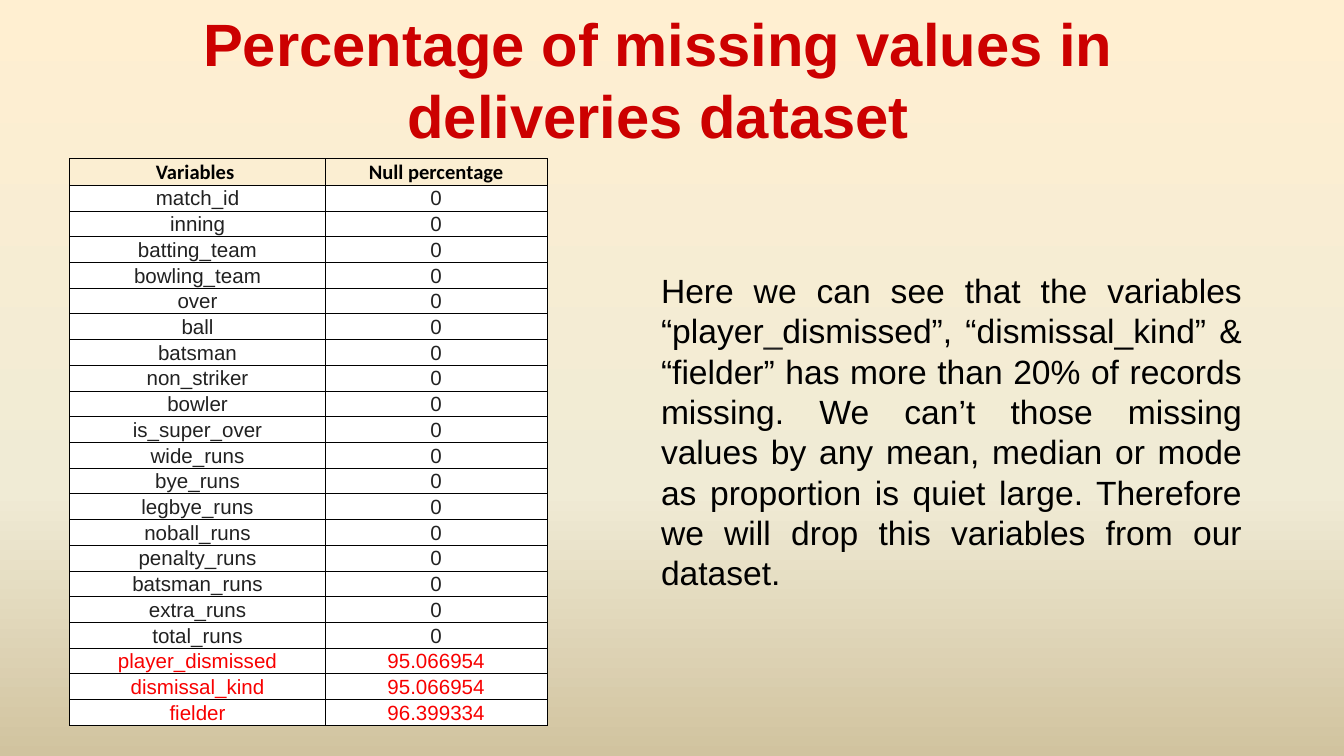
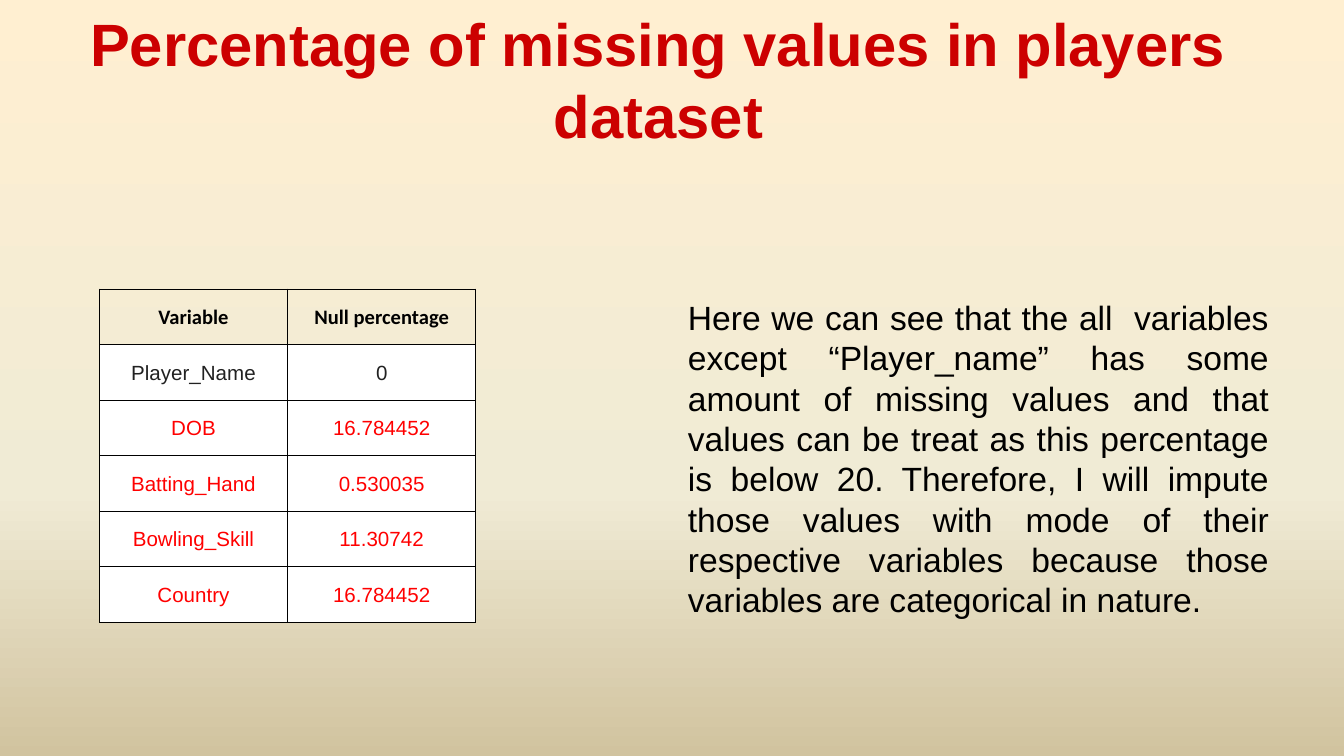
from dataclasses import dataclass

from lxml import etree
from pptx import Presentation
from pptx.dml.color import RGBColor
from pptx.enum import text
from pptx.oxml import ns
from pptx.util import Inches, Pt


@dataclass(frozen=True)
class Theme:
    title: str = "CC0000"
    ink: str = "000000"
    value: str = "212121"
    paper: str = "FFFFFF"
    font: str = "Arial"
    header_font: str = "Calibri"
    title_size: int = 32
    body_size: int = 18
    table_size: int = 11
    border: float = 0.5
    backdrop: tuple = ((0, "FFEFD1"), (65, "F0EBD5"), (100, "D1C39F"))


THEME = Theme()
TITLE_AREA = (0.48, 0.23, 8.84, 0.71)
NOTE_SIZE = (4.52, 2.52)
COMPLETE = "0"

DELIVERIES_COMPLETE = [
    "match_id", "inning", "batting_team", "bowling_team", "over", "ball",
    "batsman", "non_striker", "bowler", "is_super_over", "wide_runs",
    "bye_runs", "legbye_runs", "noball_runs", "penalty_runs",
    "batsman_runs", "extra_runs", "total_runs",
]

PAGES = [
    {
        "title": "Percentage of missing values in deliveries dataset",
        "header": ("Variables ", "Null percentage"),
        "rows": [(name, COMPLETE) for name in DELIVERIES_COMPLETE] + [
            ("player_dismissed", "95.066954"),
            ("dismissal_kind", "95.066954"),
            ("fielder", "96.399334"),
        ],
        "table_at": (0.52, 1.18),
        "columns": (1.9, 1.65),
        "table_height": 4.21,
        "missing_color": "F80000",
        "note_at": (4.82, 1.96),
        "note": [
            ("Here we can see that the variables “player", THEME.ink),
            ("_", THEME.value),
            ("dismissed”, “dismissal_kind” & “fielder” has more than 20% of "
             "records missing. We can’t those missing values by any mean, "
             "median or mode as proportion is quiet large. Therefore we will "
             "drop this variables from our dataset.", THEME.ink),
        ],
    },
    {
        "title": "Percentage of missing values in players dataset",
        "header": ("Variable", "Null percentage"),
        "rows": [
            ("Player_Name", COMPLETE),
            ("DOB", "16.784452"),
            ("Batting_Hand", "0.530035"),
            ("Bowling_Skill", "11.30742"),
            ("Country", "16.784452"),
        ],
        "table_at": (0.74, 2.15),
        "columns": (1.4, 1.4),
        "table_height": 2.48,
        "missing_color": "FF0000",
        "note_at": (5.02, 2.16),
        "note": [
            ("Here we can see that the all  variables except “Player_name” "
             "has some amount of missing values and that values can be treat "
             "as this percentage is below 20. Therefore, I will impute those "
             "values with mode of their respective variables because those "
             "variables are categorical in nature.", THEME.ink),
        ],
    },
]


def add_span(para, words, size, color, font=THEME.font, bold=False):
    span = para.add_run()
    span.text = words
    span.font.name = font
    span.font.size = Pt(size)
    span.font.bold = bold
    span.font.color.rgb = RGBColor.from_string(color)


def add_color(parent, color):
    etree.SubElement(parent, ns.qn("a:srgbClr"), val=color)


def paint_backdrop(master):
    """Give the master a vertical gradient that every slide inherits."""
    master.background.fill.gradient()
    gradient = next(master.element.iter(ns.qn("a:gradFill")))
    stops = gradient.find(ns.qn("a:gsLst"))
    for stop in list(stops):
        stops.remove(stop)
    for percent, color in THEME.backdrop:
        stop = etree.SubElement(stops, ns.qn("a:gs"), pos=str(percent * 1000))
        add_color(stop, color)
    direction = gradient.find(ns.qn("a:lin"))
    direction.set("ang", "5400000")
    direction.set("scaled", "0")


def outline_cell(cell):
    """Borders must precede the fill among the cell properties."""
    properties = cell._tc.get_or_add_tcPr()
    for index, side in enumerate(("lnL", "lnR", "lnT", "lnB")):
        line = etree.Element(ns.qn(f"a:{side}"), w=str(int(Pt(THEME.border))))
        add_color(etree.SubElement(line, ns.qn("a:solidFill")), THEME.ink)
        properties.insert(index, line)


def add_title(page, words):
    title = page.shapes.title
    title.left, title.top, title.width, title.height = map(Inches, TITLE_AREA)
    frame = title.text_frame
    frame.auto_size = text.MSO_AUTO_SIZE.NONE
    frame.vertical_anchor = text.MSO_ANCHOR.MIDDLE
    frame.margin_left = frame.margin_right = Inches(0.1)
    frame.margin_top = frame.margin_bottom = Inches(0.1)
    para = frame.paragraphs[0]
    para.alignment = text.PP_ALIGN.CENTER
    add_span(para, words, THEME.title_size, THEME.title, bold=True)


def fill_cell(cell, words, color, is_header):
    cell.margin_left = cell.margin_right = cell.margin_top = Inches(0.01)
    cell.margin_bottom = 0
    cell.vertical_anchor = text.MSO_ANCHOR.MIDDLE
    if is_header:
        cell.fill.background()
    else:
        cell.fill.solid()
        cell.fill.fore_color.rgb = RGBColor.from_string(THEME.paper)
    outline_cell(cell)
    para = cell.text_frame.paragraphs[0]
    para.alignment = text.PP_ALIGN.CENTER
    font = THEME.header_font if is_header else THEME.font
    add_span(para, words, THEME.table_size, color, font, bold=is_header)


def add_null_table(page, content):
    records = [content["header"], *content["rows"]]
    widths, height = content["columns"], content["table_height"]
    left, top = content["table_at"]
    table = page.shapes.add_table(
        len(records), len(widths), Inches(left), Inches(top),
        Inches(sum(widths)), Inches(height)).table
    table.first_row = table.horz_banding = False
    for column, width in zip(table.columns, widths):
        column.width = Inches(width)
    for index, record in enumerate(records):
        is_header = index == 0
        if is_header:
            color = THEME.ink
        elif record[1] == COMPLETE:
            color = THEME.value
        else:
            color = content["missing_color"]
        for cell, words in zip(table.rows[index].cells, record):
            fill_cell(cell, words, color, is_header)


def add_note(page, content):
    box = page.shapes.add_textbox(
        *map(Inches, content["note_at"] + NOTE_SIZE))
    frame = box.text_frame
    frame.word_wrap = True
    frame.auto_size = text.MSO_AUTO_SIZE.SHAPE_TO_FIT_TEXT
    para = frame.paragraphs[0]
    para.alignment = text.PP_ALIGN.JUSTIFY
    for words, color in content["note"]:
        add_span(para, words, THEME.body_size, color)


def main():
    deck = Presentation()
    deck.slide_width = Inches(10)
    deck.slide_height = deck.slide_width * 9 // 16
    paint_backdrop(deck.slide_master)
    title_only = deck.slide_layouts.get_by_name("Title Only")
    for content in PAGES:
        page = deck.slides.add_slide(title_only)
        add_title(page, content["title"])
        add_null_table(page, content)
        add_note(page, content)
    deck.save("out.pptx")


if __name__ == "__main__":
    main()
